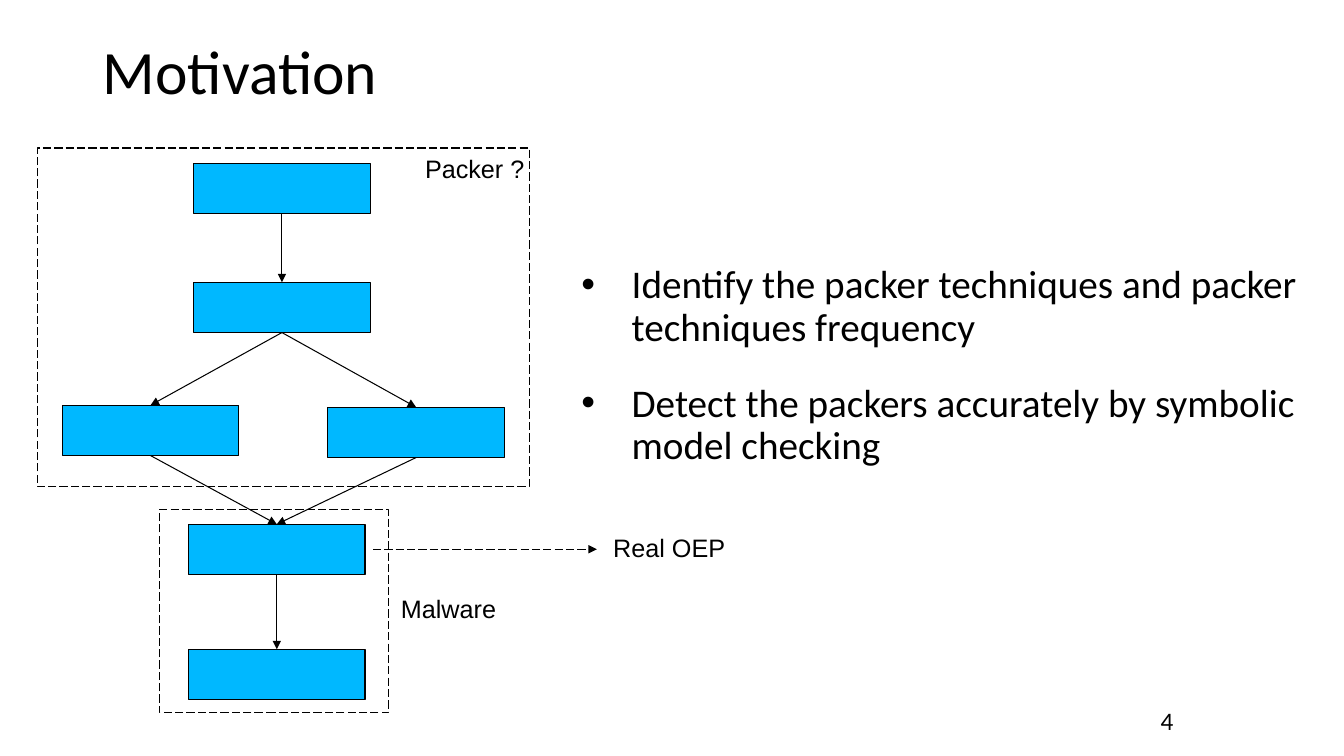
import pptx
import pptx.dml.color
import pptx.enum.dml
import pptx.enum.shapes
import pptx.enum.text
import pptx.oxml
import pptx.oxml.ns
import pptx.util
from pptx.util import Cm

ANCHOR = pptx.enum.text.MSO_ANCHOR
ALIGN = pptx.enum.text.PP_ALIGN
RECTANGLE = pptx.enum.shapes.MSO_SHAPE.RECTANGLE
STRAIGHT = pptx.enum.shapes.MSO_CONNECTOR.STRAIGHT
LONG_DASH = pptx.enum.dml.MSO_LINE.LONG_DASH
BOTTOM, TOP = 2, 0


def color(hex_string):
    return pptx.dml.color.RGBColor.from_string(hex_string)


def add_text(bounds, lines, font, size, spacing=1.0, align=ALIGN.LEFT, anchor=ANCHOR.TOP):
    """Add a text box with one paragraph per line and return its paragraphs."""
    box = page.shapes.add_textbox(*map(Cm, bounds))
    frame = box.text_frame
    frame.word_wrap = True
    frame.vertical_anchor = anchor
    for number, line in enumerate(lines):
        para = frame.add_paragraph() if number else frame.paragraphs[0]
        para.alignment = align
        para.line_spacing = spacing
        span = para.add_run()
        span.text = line
        span.font.name = font
        span.font.size = pptx.util.Pt(size)
        span.font.color.rgb = color("000000")
    return frame.paragraphs


deck = pptx.Presentation()
deck.slide_width, deck.slide_height = Cm(33.87), Cm(19.05)
page = deck.slides.add_slide(deck.slide_layouts[6])

add_text((2.34, 1.02, 29.21, 1.73), ["Motivation"], "Calibri", 44, 0.9, anchor=ANCHOR.MIDDLE)
add_text((29.0, 17.65, 2.55, 1.02), ["4"], "Calibri", 18)

goals = add_text(
    (14.4, 6.55, 18.85, 5.31),
    ["Identify the packer techniques and packer techniques frequency",
     "Detect the packers accurately by symbolic model checking"],
    "Calibri", 28, 0.9)
namespace = pptx.oxml.ns.nsdecls("a")
for goal in goals:
    goal.space_after = pptx.util.Pt(24.2)
    properties = goal._p.get_or_add_pPr()
    properties.set("marL", str(Cm(1.27)))
    properties.set("indent", str(-Cm(1.27)))
    for bullet in ('buFont %s typeface="Arial"', 'buChar %s char="•"'):
        properties.append(pptx.oxml.parse_xml(f"<a:{bullet % namespace}/>"))

# Code blocks of the control flow graph, and the dashed regions around them
block_places = {
    "entry": (4.88, 4.11),
    "branch": (4.88, 7.11),
    "right": (8.26, 10.26),
    "left": (1.57, 10.21),
    "oep": (4.75, 13.21),
    "end": (4.75, 16.36),
}
outlines = [(*place, 4.45, 1.27, "00B8FF") for place in block_places.values()]
outlines += [(0.94, 3.73, 12.4, 8.53, None), (4.01, 12.85, 5.79, 5.11, None)]
shapes = []
for left, top, width, height, fill in outlines:
    shape = page.shapes.add_shape(RECTANGLE, Cm(left), Cm(top), Cm(width), Cm(height))
    shape.shadow.inherit = False
    shape.line.color.rgb = color("000000")
    shape.line.width = pptx.util.Pt(0.75)
    if fill:
        shape.fill.solid()
        shape.fill.fore_color.rgb = color(fill)
    else:
        shape.fill.background()
        shape.line.dash_style = LONG_DASH
    shapes.append(shape)
blocks = dict(zip(block_places, shapes))

# Control flow between blocks, then the dashed pointer to the label
flows = [("entry", "branch"), ("branch", "left"), ("branch", "right"),
         ("left", "oep"), ("right", "oep"), ("oep", "end"), None]
for flow in flows:
    arrow = page.shapes.add_connector(STRAIGHT, Cm(9.4), Cm(13.84), Cm(15.04), Cm(13.84))
    arrow.line.color.rgb = color("000000")
    arrow.line.width = pptx.util.Pt(0.75)
    if flow:
        source, target = flow
        arrow.begin_connect(blocks[source], BOTTOM)
        arrow.end_connect(blocks[target], TOP)
    else:
        arrow.line.dash_style = LONG_DASH
    arrow.line._get_or_add_ln().append(
        pptx.oxml.parse_xml(f'<a:tailEnd {namespace} type="triangle"/>'))
    arrow._element.spPr.append(pptx.oxml.parse_xml(f"<a:effectLst {namespace}/>"))

labels = [("Packer ?", 10.06, 3.81), ("Malware", 9.4, 14.88), ("Real OEP", 14.96, 13.36)]
for label, left, top in labels:
    add_text((left, top, 3.81, 0.97), [label], "Arial", 18, 0.93, ALIGN.CENTER, ANCHOR.MIDDLE)

deck.save("out.pptx")
